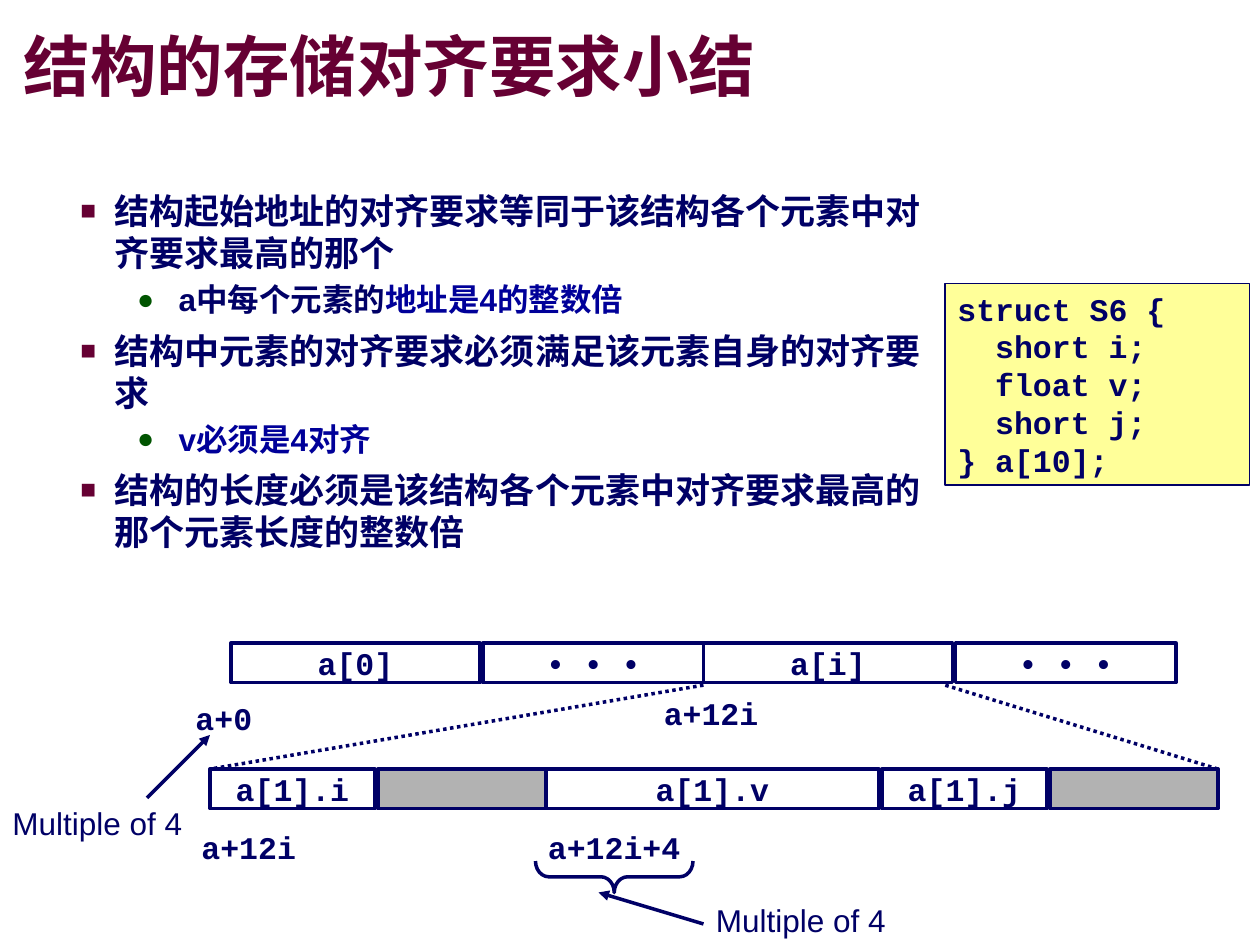
import lxml.etree
import pptx
import pptx.dml.color
import pptx.enum.dml
import pptx.enum.shapes
import pptx.enum.text
import pptx.oxml
import pptx.oxml.ns
import pptx.util

COLUMNS, ROWS = 120, 90
WIDTH, HEIGHT = pptx.util.Inches(10), pptx.util.Inches(7.5)
COLORS = {"navy": "000066", "blue": "000099", "wine": "660033", "green": "005400",
          "yellow": "FFFF99", "gray": "B2B2B2", "white": "FFFFFF", "shadow": "999999"}
SANS, MONO = "Arial", "Courier New"
ALIGN = pptx.enum.text.PP_ALIGN
ANCHOR = pptx.enum.text.MSO_ANCHOR
SHAPE = pptx.enum.shapes.MSO_SHAPE
CELL_ROWS = 3.75
BULLETS = {1: ("■", "wine", 75, 0.81, -0.27, 20, 6.2, 1),
           2: ("●", "green", 90, 1.32, -0.33, 18, 2.2, 1.07)}
POINTS = [
    (1, [("结构起始地址的对齐要求等同于该结构各个元素中对齐要求最高的那个", "navy")]),
    (2, [("a中每个元素的", "navy"), ("地址是4的整数倍", "blue")]),
    (1, [("结构中元素的对齐要求必须满足该元素自身的对齐要求", "navy")]),
    (2, [("v必须是4对齐", "blue")]),
    (1, [("结构的长度必须是该结构各个元素中对齐要求最高的那个元素长度的整数倍", "navy")]),
]
CODE = ["struct S6 {", "  short i;", "  float v;", "  short j;", "} a[10];"]
DOTS = "• • •"


def rgb(name):
    return pptx.dml.color.RGBColor.from_string(COLORS[name])


def place(column, row):
    return int(WIDTH * column / COLUMNS), int(HEIGHT * row / ROWS)


def add_element(parent, tag, **attributes):
    element = lxml.etree.SubElement(parent, pptx.oxml.ns.qn(tag))
    for name, value in attributes.items():
        element.set(name, str(value))
    return element


def add_run(paragraph, text, size, color="navy", font=MONO, bold=True):
    run = paragraph.add_run()
    run.text = text
    run.font.size = pptx.util.Pt(size)
    run.font.color.rgb = rgb(color)
    run.font.name = font
    run.font.bold = bold
    return run


def add_text_box(slide, box, wrap=False):
    column, row, columns, rows = box
    shape = slide.shapes.add_textbox(*place(column, row), *place(columns, rows))
    shape.text_frame.word_wrap = wrap
    return shape.text_frame


def add_box(slide, box, fill, line_width, kind=SHAPE.RECTANGLE):
    column, row, columns, rows = box
    shape = slide.shapes.add_shape(kind, *place(column, row), *place(columns, rows))
    shape.shadow.inherit = False
    if fill:
        shape.fill.solid()
        shape.fill.fore_color.rgb = rgb(fill)
    else:
        shape.fill.background()
    shape.line.color.rgb = rgb("navy")
    shape.line.width = pptx.util.Pt(line_width)
    return shape


def add_line(slide, start, end, arrow=False):
    line = slide.shapes.add_connector(
        pptx.enum.shapes.MSO_CONNECTOR.STRAIGHT, *place(*start), *place(*end))
    line.line.color.rgb = rgb("navy")
    line.line.width = pptx.util.Pt(2)
    if arrow:
        add_element(line.line._get_or_add_ln(), "a:tailEnd", type="triangle")
    else:
        line.line.dash_style = pptx.enum.dml.MSO_LINE.ROUND_DOT
    add_element(line._element.spPr, "a:effectLst")


def add_title(slide, box, text):
    frame = add_text_box(slide, box, wrap=True)
    frame.margin_left = frame.margin_right = frame.margin_top = frame.margin_bottom = 0
    frame.vertical_anchor = ANCHOR.MIDDLE
    frame.paragraphs[0].line_spacing = 0.87
    run = add_run(frame.paragraphs[0], text, 38, "wine", SANS)
    effects = pptx.oxml.parse_xml(
        f'<a:effectLst {pptx.oxml.ns.nsdecls("a")}>'
        '<a:outerShdw dist="38100" dir="2700000" algn="tl">'
        f'<a:srgbClr val="{COLORS["shadow"]}"/></a:outerShdw></a:effectLst>')
    run.font._element.insert(1, effects)


def add_points(slide, box, points):
    frame = add_text_box(slide, box, wrap=True)
    for index, (level, runs) in enumerate(points):
        symbol, color, percent, margin, indent, size, before, spacing = BULLETS[level]
        paragraph = frame.paragraphs[0] if index == 0 else frame.add_paragraph()
        paragraph.level = level
        paragraph.line_spacing = spacing
        paragraph.space_before = pptx.util.Pt(before if index else 0)
        properties = paragraph._p.get_or_add_pPr()
        properties.set("marL", str(pptx.util.Inches(margin)))
        properties.set("indent", str(pptx.util.Inches(indent)))
        bullet_color = add_element(properties, "a:buClr")
        add_element(bullet_color, "a:srgbClr", val=COLORS[color])
        add_element(properties, "a:buSzPct", val=percent * 1000)
        add_element(properties, "a:buFont", typeface=SANS)
        add_element(properties, "a:buChar", char=symbol)
        for text, text_color in runs:
            add_run(paragraph, text, size, text_color, SANS)


def add_code(slide, box, lines):
    frame = add_box(slide, box, "yellow", 1).text_frame
    frame.word_wrap = True
    frame.vertical_anchor = ANCHOR.TOP
    for index, line in enumerate(lines):
        paragraph = frame.paragraphs[0] if index == 0 else frame.add_paragraph()
        paragraph.alignment = ALIGN.LEFT
        add_run(paragraph, line, 18)


def add_memory_row(slide, column, row, cells):
    for text, span in cells:
        columns = span - 0.3 if text and text != DOTS else span
        cell = add_box(slide, (column, row, columns, CELL_ROWS), "white" if text else "gray", 2)
        if text:
            frame = cell.text_frame
            frame.word_wrap = False
            frame.vertical_anchor = ANCHOR.MIDDLE
            frame.paragraphs[0].alignment = ALIGN.CENTER
            add_run(frame.paragraphs[0], text, 18)
        column += 24 if text == "a[0]" or text == "a[i]" else span


def add_label(slide, column, row, columns, text, font=MONO, align=ALIGN.LEFT):
    paragraph = add_text_box(slide, (column, row, columns, 4.8)).paragraphs[0]
    paragraph.alignment = align
    add_run(paragraph, text, 18, font=font, bold=font == MONO)


def add_memory_diagram(slide, box):
    left, top, columns, rows = box
    lower = top + 12
    add_line(slide, (left + 47, top + 4), (left, lower))
    add_line(slide, (left + columns, lower), (left + 70, top + 4))
    add_memory_row(slide, left + 2, top, [("a[0]", 24), (DOTS, 21), ("a[i]", 24), (DOTS, 21)])
    add_memory_row(slide, left, lower,
                   [("a[1].i", 16), ("", 16), ("a[1].v", 32), ("a[1].j", 16), ("", 16)])
    add_label(slide, left - 2.6, top + 4.7, 7.8, "a+0", align=ALIGN.RIGHT)
    add_label(slide, left + 42, top + 4.3, 11.4, "a+12i", align=ALIGN.RIGHT)
    add_label(slide, left - 2, top + 17, 11.4, "a+12i")
    add_label(slide, left + 31, top + 17, 15, "a+12i+4")


def add_alignment_notes(slide, box):
    left, top, columns, rows = box
    add_line(slide, (left + 67, top + rows), (left + 57, top + rows - 3), arrow=True)
    add_label(slide, left + 67, top + 15.2, 18.6, "Multiple of 4", SANS)
    add_line(slide, (left + 14, top + 6), (left + 20, top), arrow=True)
    add_label(slide, left, top + 6, 18.6, "Multiple of 4", SANS)
    brace = add_box(slide, (left + 57, top + 6, 3, 15), None, 2, SHAPE.LEFT_BRACE)
    brace.adjustments[0] = 0.42
    brace.rotation = 270


def main():
    presentation = pptx.Presentation()
    presentation.slide_width, presentation.slide_height = WIDTH, HEIGHT
    slide = presentation.slides.add_slide(presentation.slide_layouts[6])
    add_title(slide, (2.25, 3, 115.75, 7.5), "结构的存储对齐要求小结")
    add_points(slide, (0, 17.5, 90, 66.5), POINTS)
    add_code(slide, (90, 27, 29, 19.2), CODE)
    add_memory_diagram(slide, (20, 61.25, 96, 21.75))
    add_alignment_notes(slide, (0, 70, 86, 18))
    presentation.save("out.pptx")


if __name__ == "__main__":
    main()
